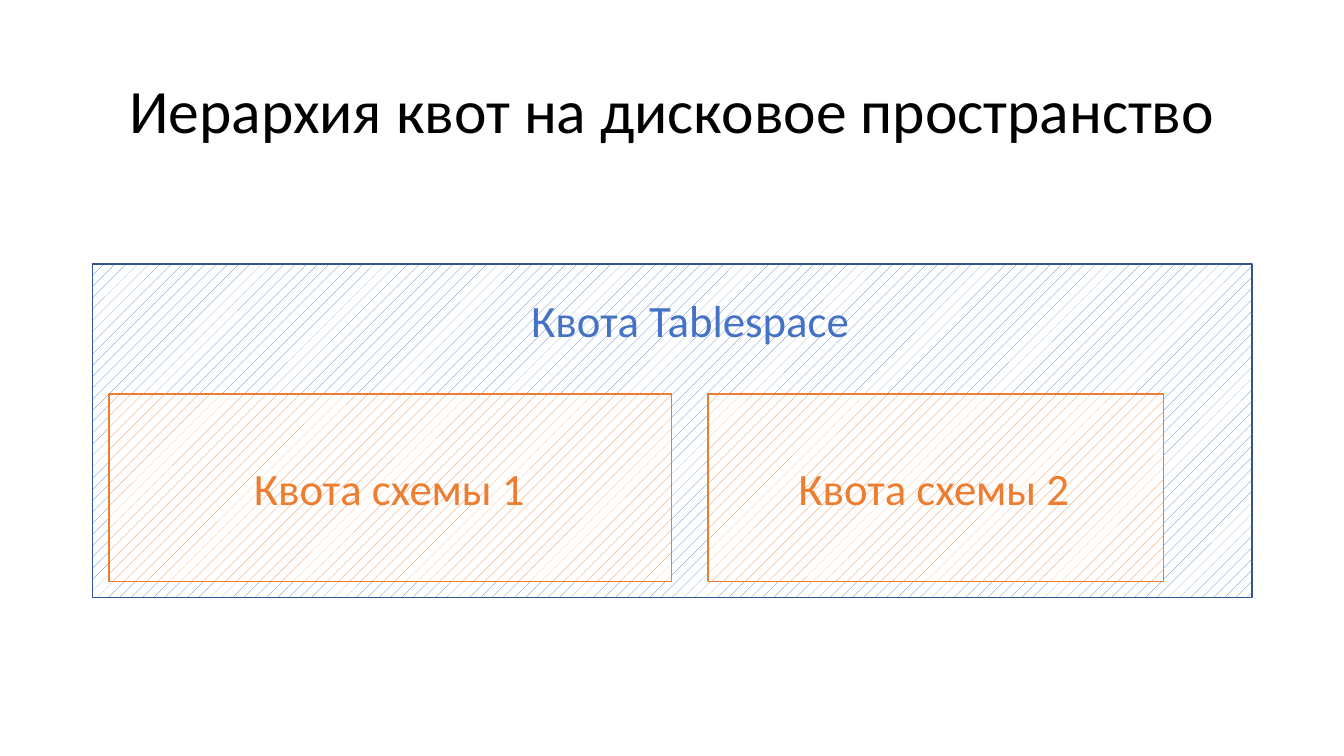
from pptx import Presentation
from pptx.dml.color import RGBColor
from pptx.enum import dml, shapes, text
from pptx.util import Inches, Pt

TITLE = ("Иерархия квот на дисковое пространство", (0.92, 0.4, 11.5, 1.45))
QUOTA_BOXES = [
    ((0.92, 2.62, 11.5, 3.31), "blue", "navy"),
    ((1.08, 3.91, 5.58, 1.86), "orange", "orange"),
    ((7.02, 3.91, 4.52, 1.86), "orange", "orange"),
]
QUOTA_LABELS = [
    ("Квота Tablespace", (5.17, 2.85, 3.39, 0.64), "blue"),
    ("Квота схемы 1", (2.42, 4.52, 2.91, 0.64), "orange"),
    ("Квота схемы 2", (7.82, 4.52, 2.91, 0.64), "orange"),
]
THEME = {
    "font": "Calibri",
    "title": Pt(44),
    "label": Pt(32),
    "line": Pt(1),
    "black": RGBColor.from_string("000000"),
    "white": RGBColor.from_string("FFFFFF"),
    "blue": RGBColor.from_string("4472C4"),
    "navy": RGBColor.from_string("325491"),
    "orange": RGBColor.from_string("ED7D31"),
}


def add_quota_box(s, place, fill, line):
    sp = s.shapes.add_shape(shapes.MSO_SHAPE.RECTANGLE, *map(Inches, place))
    sp.shadow.inherit = False
    sp.fill.patterned()
    sp.fill.pattern = dml.MSO_PATTERN.PERCENT_10
    sp.fill.fore_color.rgb = THEME[fill]
    sp.fill.back_color.rgb = THEME["white"]
    sp.line.color.rgb = THEME[line]
    sp.line.width = THEME["line"]


def add_text(s, words, place, size, color):
    tf = s.shapes.add_textbox(*map(Inches, place)).text_frame
    tf.text = words
    p = tf.paragraphs[0]
    r = p.runs[0]
    r.font.name = THEME["font"]
    r.font.size = THEME[size]
    r.font.color.rgb = THEME[color]
    return tf


def main():
    prs = Presentation()
    prs.slide_width, prs.slide_height = Inches(13.33), Inches(7.5)
    s = prs.slides.add_slide(prs.slide_layouts[6])

    tf = add_text(s, *TITLE, "title", "black")
    tf.word_wrap = True
    tf.vertical_anchor = text.MSO_ANCHOR.MIDDLE
    tf.paragraphs[0].alignment = text.PP_ALIGN.CENTER
    tf.paragraphs[0].line_spacing = 0.9

    for place, fill, line in QUOTA_BOXES:
        add_quota_box(s, place, fill, line)

    for words, place, color in QUOTA_LABELS:
        tf = add_text(s, words, place, "label", color)
        tf.word_wrap = False
        tf.auto_size = text.MSO_AUTO_SIZE.SHAPE_TO_FIT_TEXT

    prs.save("out.pptx")


if __name__ == "__main__":
    main()
